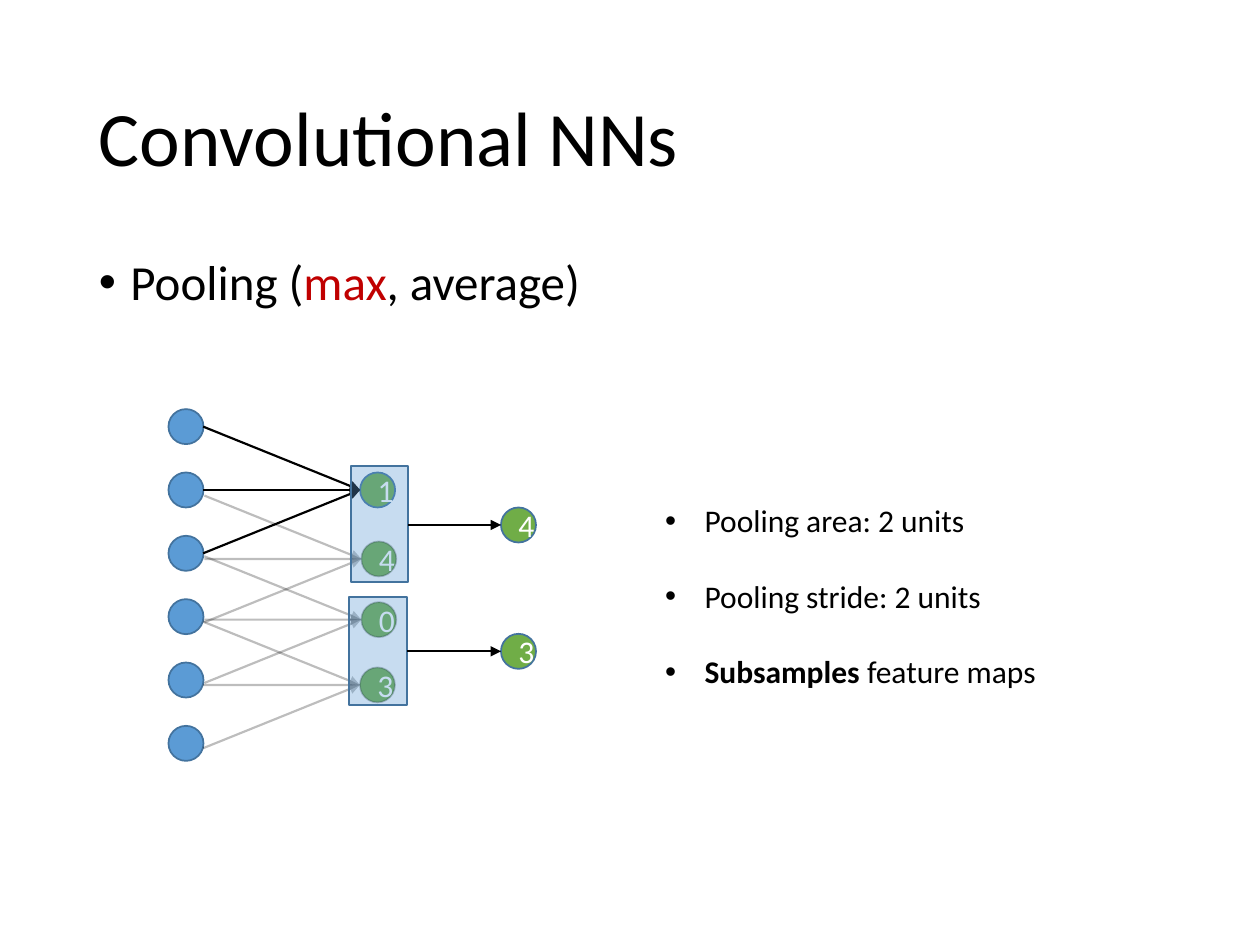
import pptx
import pptx.dml.color
import pptx.enum.shapes
import pptx.enum.text
import pptx.oxml
import pptx.oxml.ns
import pptx.util
from lxml import etree

Pt = pptx.util.Pt
qn = pptx.oxml.ns.qn
MSO_SHAPE = pptx.enum.shapes.MSO_SHAPE
MSO_ANCHOR = pptx.enum.text.MSO_ANCHOR
COLORS = {
    "black": "000000",
    "white": "FFFFFF",
    "red": "C00000",
    "blue": "5B9BD5",
    "green": "70AD47",
    "outline": "43739E",
}


def rgb(name):
    return pptx.dml.color.RGBColor.from_string(COLORS[name])


def set_alpha(fill_parent, percent):
    clr = next(fill_parent.iter(qn("a:srgbClr")))
    etree.SubElement(clr, qn("a:alpha")).set("val", str(percent * 1000))


def add_run(p, text, size=18, color="black", bold=False):
    r = p.add_run()
    r.text = text
    r.font.name = "Calibri"
    r.font.size = Pt(size)
    r.font.bold = bold
    r.font.color.rgb = rgb(color)
    return r


class Deck:
    node = 20
    faint = 26

    def __init__(self, width, height):
        self.prs = pptx.Presentation()
        self.prs.slide_width = Pt(width)
        self.prs.slide_height = Pt(height)
        self.s = self.prs.slides.add_slide(self.prs.slide_layouts[6])

    def text_box(self, x, y, w, h, paragraphs, size, anchor=MSO_ANCHOR.TOP,
                 indent=0, gap=0, spacing=None):
        tf = self.s.shapes.add_textbox(Pt(x), Pt(y), Pt(w), Pt(h)).text_frame
        tf.word_wrap = True
        tf.vertical_anchor = anchor
        for i, runs in enumerate(paragraphs):
            p = tf.add_paragraph() if i else tf.paragraphs[0]
            if indent:
                self.bullet(p, indent)
            if i:
                p.space_before = Pt(gap)
            p.line_spacing = spacing
            for text, style in runs:
                add_run(p, text, size=size, **style)

    def bullet(self, p, indent):
        pPr = p._p.get_or_add_pPr()
        pPr.set("marL", str(Pt(indent)))
        pPr.set("indent", str(-Pt(indent)))
        etree.SubElement(pPr, qn("a:buFont")).set("typeface", "Arial")
        etree.SubElement(pPr, qn("a:buChar")).set("char", "•")

    def shape(self, kind, x, y, w, h, fill, line="outline"):
        sp = self.s.shapes.add_shape(kind, Pt(x), Pt(y), Pt(w), Pt(h))
        sp.shadow.inherit = False
        sp.fill.solid()
        sp.fill.fore_color.rgb = rgb(fill)
        sp.line.color.rgb = rgb(line)
        sp.line.width = Pt(1)
        return sp

    def unit(self, x, y, fill, value="", faint=False):
        line = "black" if faint else "outline"
        sp = self.shape(MSO_SHAPE.OVAL, x, y, self.node, self.node, fill, line)
        if faint:
            set_alpha(sp.line._ln, self.faint)
        if value:
            p = sp.text_frame.paragraphs[0]
            p.alignment = pptx.enum.text.PP_ALIGN.CENTER
            add_run(p, value, color="white")

    def pool(self, x, y, w, h):
        sp = self.shape(MSO_SHAPE.RECTANGLE, x, y, w, h, "blue")
        set_alpha(sp._element.spPr.find(qn("a:solidFill")), 34)

    def arrow(self, x1, y1, x2, y2, faint=False):
        c = self.s.shapes.add_connector(
            pptx.enum.shapes.MSO_CONNECTOR.STRAIGHT, Pt(x1), Pt(y1), Pt(x2), Pt(y2))
        c.line.color.rgb = rgb("black")
        c.line.width = Pt(1.25)
        if faint:
            set_alpha(c.line._ln, self.faint)
        etree.SubElement(c.line._ln, qn("a:tailEnd")).set("type", "triangle")
        etree.SubElement(c._element.spPr, qn("a:effectLst"))


def main():
    deck = Deck(720, 540)
    deck.text_box(49.5, 28.75, 621, 104.4, [[("Convolutional NNs", {})]],
                  size=44, anchor=MSO_ANCHOR.MIDDLE, spacing=0.9)
    deck.text_box(49.5, 143.75, 621, 342.6,
                  [[("Pooling (", {}), ("max", {"color": "red"}), (", average)", {})]],
                  size=28, indent=18, spacing=0.9)

    pitch = 36.2
    for i in range(6):
        deck.unit(96.3, 233.8 + i * pitch, "blue")

    feature_units = [("1", 205.8, 270), ("4", 206.5, 309.4),
                     ("0", 206.5, 344.1), ("3", 205.7, 381.4)]
    for i, (value, x, y) in enumerate(feature_units):
        faint = i > 0
        deck.unit(x, y, "green", value, faint)
        target = y + deck.node / 2
        for step in (-1, 0, 1):
            deck.arrow(x - 89.7, target + step * pitch, x, target, faint)

    pools = [("4", 200.4, 266.4, 66.4, 290), ("3", 199.6, 341.2, 61.8, 362.2)]
    for value, x, y, h, output in pools:
        deck.unit(286.3, output, "green", value)
        deck.pool(x, y, 33, h)
        center = output + deck.node / 2
        deck.arrow(x + 33, center, 286.3, center)

    deck.text_box(373, 283, 240, 116.6,
                  [[("Pooling area: 2 units", {})],
                   [("Pooling stride: 2 units", {})],
                   [("Subsamples ", {"bold": True}), ("feature maps", {})]],
                  size=18, indent=22.5, gap=21.5)
    deck.prs.save("out.pptx")


if __name__ == "__main__":
    main()
